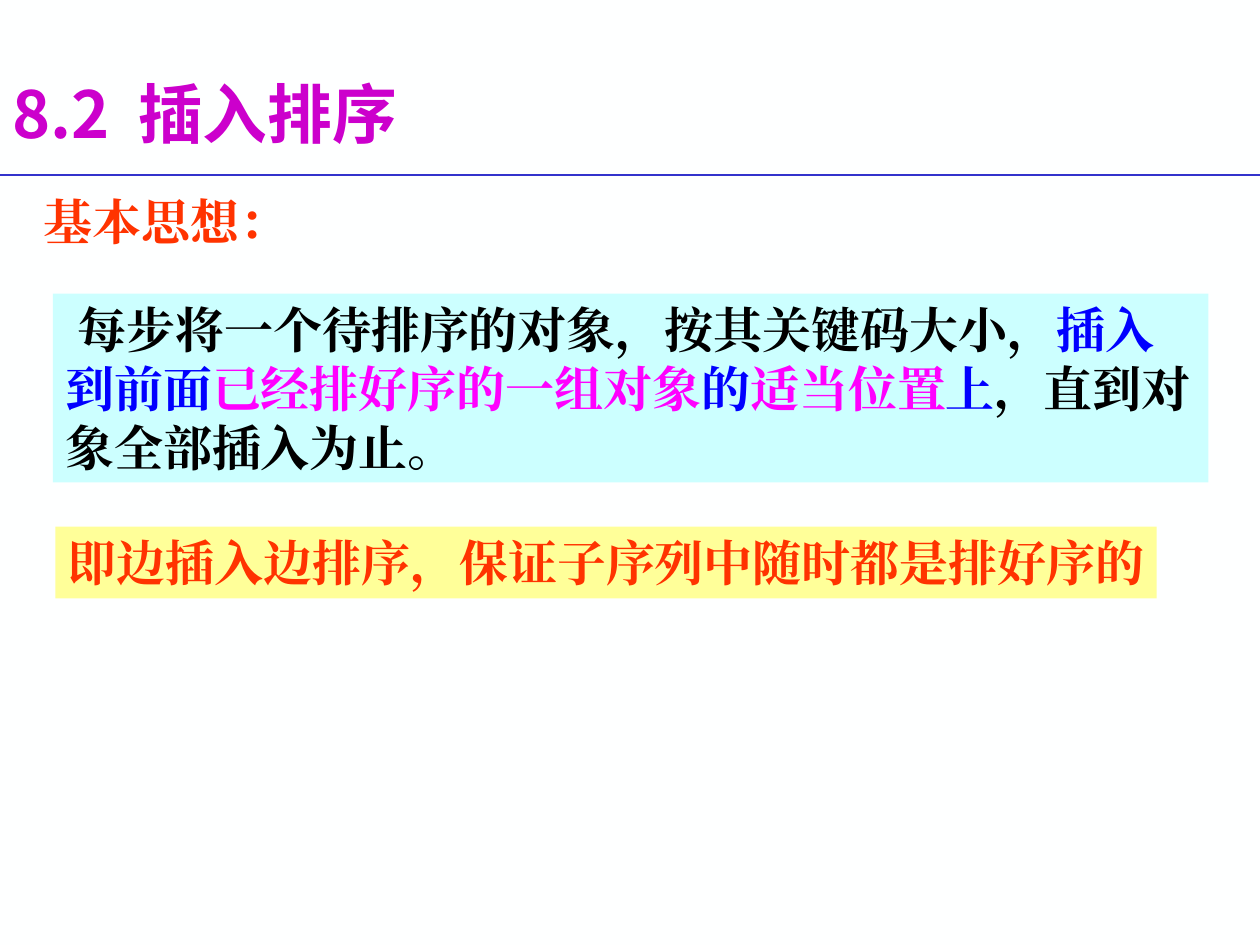
from lxml.etree import SubElement
from pptx import Presentation
from pptx.dml.color import RGBColor
from pptx.enum.shapes import MSO_CONNECTOR, MSO_SHAPE
from pptx.enum.text import MSO_ANCHOR, PP_ALIGN
from pptx.oxml.ns import qn
from pptx.util import Inches, Pt

BACKGROUND = RGBColor(0xFE, 0xFF, 0xFF)
PURPLE = RGBColor(0xCC, 0x00, 0xCC)
RULE_BLUE = RGBColor(0x33, 0x33, 0xCC)
ORANGE = RGBColor(0xFF, 0x33, 0x00)
BLACK = RGBColor(0x00, 0x00, 0x00)
BLUE = RGBColor(0x00, 0x00, 0xFF)
MAGENTA = RGBColor(0xFF, 0x00, 0xFF)
PALE_CYAN = RGBColor(0xCC, 0xFF, 0xFF)
PALE_YELLOW = RGBColor(0xFF, 0xFF, 0x99)

HEADING_FONT = "Noto Sans CJK SC"
BODY_FONT = "Times New Roman"


def write_text(frame, pieces, size=28, font=BODY_FONT, wrap=True):
    """Fill a frame with one bold paragraph of (text, colour) pieces."""
    frame.word_wrap = wrap
    frame.vertical_anchor = MSO_ANCHOR.TOP
    paragraph = frame.paragraphs[0]
    paragraph.alignment = PP_ALIGN.LEFT
    paragraph.font.size = Pt(size)
    paragraph.font.bold = True
    paragraph.font.name = font
    for text, colour in pieces:
        run = paragraph.add_run()
        run.text = text
        run.font.color.rgb = colour
        run.font.name = font
        SubElement(run.font._element, qn("a:ea"), typeface=font)
    return paragraph


def add_title(slide, text):
    """Add the section title, with its number set off by a tab stop."""
    title = slide.shapes.add_textbox(Inches(0), Inches(0.56), Inches(6.73), Inches(0.75))
    paragraph = write_text(title.text_frame, [(text, PURPLE)], 37, HEADING_FONT)
    title.text_frame.vertical_anchor = MSO_ANCHOR.MIDDLE
    paragraph.line_spacing = 0.9
    stops = SubElement(paragraph._p.get_or_add_pPr(), qn("a:tabLst"))
    SubElement(stops, qn("a:tab"), pos=str(Inches(1)), algn="l")
    properties = paragraph._p.pPr
    properties.append(properties.find(qn("a:defRPr")))


def add_rule(slide, top):
    """Draw a thin line across the full slide width."""
    rule = slide.shapes.add_connector(
        MSO_CONNECTOR.STRAIGHT, Inches(0), Inches(top), Inches(10), Inches(top)
    )
    rule.line.color.rgb = RULE_BLUE
    rule.line.width = Pt(1)
    SubElement(rule._element.spPr, qn("a:effectLst"))


def add_subheading(slide, text):
    """Add the subheading below the rule."""
    subheading = slide.shapes.add_textbox(
        Inches(0.25), Inches(1.47), Inches(9.33), Inches(0.57)
    )
    write_text(subheading.text_frame, [(text, ORANGE)])


def add_panel(slide, left, top, width, height, fill, pieces, wrap=True):
    """Add a filled rectangle holding coloured text."""
    panel = slide.shapes.add_shape(
        MSO_SHAPE.RECTANGLE, Inches(left), Inches(top), Inches(width), Inches(height)
    )
    panel.shadow.inherit = False
    panel.fill.solid()
    panel.fill.fore_color.rgb = fill
    panel.line.fill.background()
    write_text(panel.text_frame, pieces, wrap=wrap)


def main():
    """Build the insertion sort slide and save it."""
    deck = Presentation()
    deck.slide_width, deck.slide_height = Inches(10), Inches(7.5)
    slide = deck.slides.add_slide(deck.slide_layouts[6])
    slide.background.fill.solid()
    slide.background.fill.fore_color.rgb = BACKGROUND

    add_title(slide, "8.2\t插入排序")
    add_rule(slide, 1.39)
    add_subheading(slide, "基本思想：")
    idea = [
        (" 每步将一个待排序的对象，按其关键码大小，", BLACK),
        ("插入到前面", BLUE),
        ("已经排好序的一组对象", MAGENTA),
        ("的", BLUE),
        ("适当位置", MAGENTA),
        ("上", BLUE),
        ("，直到对象全部插入为止。", BLACK),
    ]
    add_panel(slide, 0.42, 2.33, 9.17, 1.5, PALE_CYAN, idea)
    summary = [("即边插入边排序，保证子序列中随时都是排好序的", ORANGE)]
    add_panel(slide, 0.44, 4.18, 8.74, 0.57, PALE_YELLOW, summary, wrap=False)
    deck.save("out.pptx")


if __name__ == "__main__":
    main()
